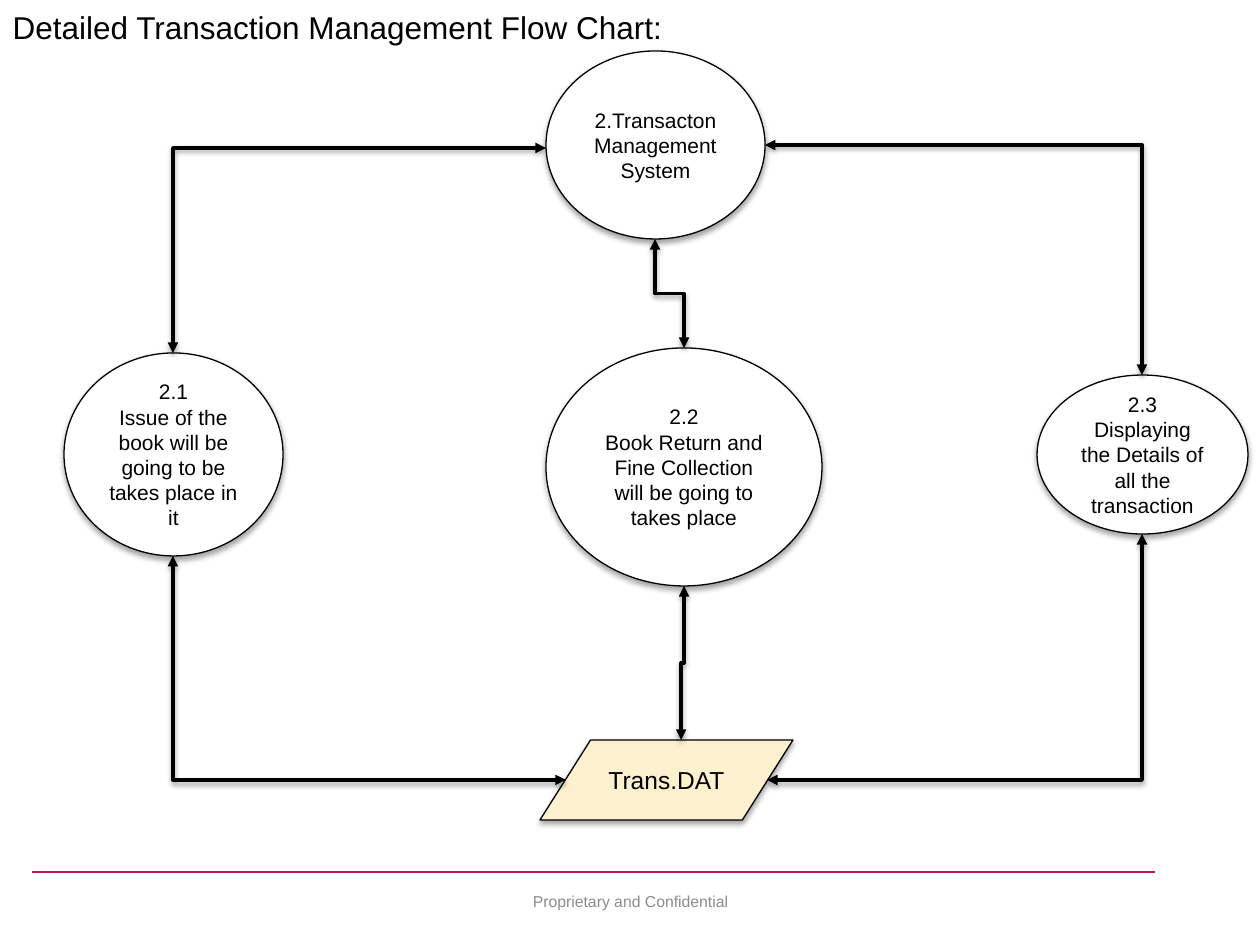
"""Build the transaction management flow chart slide."""
from lxml.etree import SubElement
from pptx import Presentation
from pptx.dml.color import RGBColor
from pptx.enum.shapes import MSO_CONNECTOR as Line, MSO_SHAPE as Kind
from pptx.enum.text import MSO_ANCHOR as Anchor, PP_ALIGN as Align
from pptx.oxml.ns import qn
from pptx.util import Pt

SCALE = 914400 / 126
SIZE = (1260, 945)
BLACK, WHITE, CREAM, RED, GREY = "000000", "FFFFFF", "FCF0CF", "C8174B", "8C8C8C"

TITLE = ("Detailed Transaction Management Flow Chart:", (0, 1, 682, 51))
FOOTER = ("Proprietary and Confidential", (431, 876, 399, 50))
RULE = ((32, 872), (1155, 872))
NODES = [
    ("Trans.DAT", Kind.FLOWCHART_DATA, (540, 740, 253, 80), CREAM, 14),
    ("2.Transacton Management\nSystem", Kind.OVAL, (546, 51, 219, 188), WHITE, 12),
    ("2.1\nIssue of the book will be going to be takes place in it",
     Kind.OVAL, (64, 353, 219, 203), WHITE, 12),
    ("2.2\nBook Return and Fine Collection will be going to takes place",
     Kind.OVAL, (546, 348, 276, 238), WHITE, 12),
    ("2.3\nDisplaying the Details of all the transaction",
     Kind.OVAL, (1037, 375, 211, 159), WHITE, 12),
]
CORNERS = [
    ((546, 148), (173, 353)),
    ((765, 145), (1142, 375)),
    ((566, 780), (173, 556)),
    ((767, 780), (1142, 534)),
]
STEPS = [((655, 239), (684, 348)), ((684, 586), (681, 740))]


def emu(*nums):
    return [round(n * SCALE) for n in nums]


def color(code):
    return RGBColor.from_string(code)


def write(shape, text, size, code=BLACK, align=Align.CENTER):
    frame = shape.text_frame
    frame.text = text
    frame.vertical_anchor = Anchor.MIDDLE
    for para in frame.paragraphs:
        para.alignment = align
        for run in para.runs:
            run.font.name = "Arial"
            run.font.size = Pt(size)
            run.font.color.rgb = color(code)
    return frame


def add_title(slide):
    text, box = TITLE
    title = slide.shapes.title
    title.left, title.top, title.width, title.height = emu(*box)
    write(title, text, 18, align=Align.LEFT).word_wrap = False


def add_footer(slide):
    line = slide.shapes.add_connector(Line.STRAIGHT, *emu(*RULE[0], *RULE[1]))
    line.line.color.rgb = color(RED)
    line.line.width = Pt(0.75)
    SubElement(line._element.spPr, qn("a:effectLst"))
    text, box = FOOTER
    frame = write(slide.shapes.add_textbox(*emu(*box)), text, 9, GREY)
    frame.word_wrap = True
    frame.margin_left = frame.margin_right = 0
    frame.margin_top = frame.margin_bottom = 0


def add_node(slide, text, kind, box, fill, size):
    node = slide.shapes.add_shape(kind, *emu(*box))
    node.fill.solid()
    node.fill.fore_color.rgb = color(fill)
    node.line.color.rgb = color(BLACK)
    node.line.width = Pt(0.75)
    write(node, text, size)


def add_arrow(slide, start, end):
    arrow = slide.shapes.add_connector(Line.ELBOW, *emu(*start, *end))
    arrow.line.color.rgb = color(BLACK)
    arrow.line.width = Pt(2)
    for tag in ("a:headEnd", "a:tailEnd"):
        SubElement(arrow.line._get_or_add_ln(), qn(tag), type="triangle")
    return arrow._element.spPr


def add_corner(slide, start, end):
    add_arrow(slide, start, end).find(qn("a:prstGeom")).set("prst", "bentConnector2")


def add_step(slide, start, end):
    (x1, y1), (x2, y2) = start, end
    mid_x, mid_y = (x1 + x2) / 2, (y1 + y2) / 2
    half_w, half_h = (x2 - x1) / 2, (y2 - y1) / 2
    props = add_arrow(slide, (mid_x - half_h, mid_y + half_w),
                      (mid_x + half_h, mid_y - half_w))
    props.find(qn("a:xfrm")).set("rot", str(90 * 60000))


def main():
    deck = Presentation()
    deck.slide_width, deck.slide_height = emu(*SIZE)
    slide = deck.slides.add_slide(deck.slide_layouts[5])
    add_footer(slide)
    for node in NODES:
        add_node(slide, *node)
    for ends in CORNERS:
        add_corner(slide, *ends)
    for ends in STEPS:
        add_step(slide, *ends)
    add_title(slide)
    deck.save("out.pptx")


if __name__ == "__main__":
    main()
